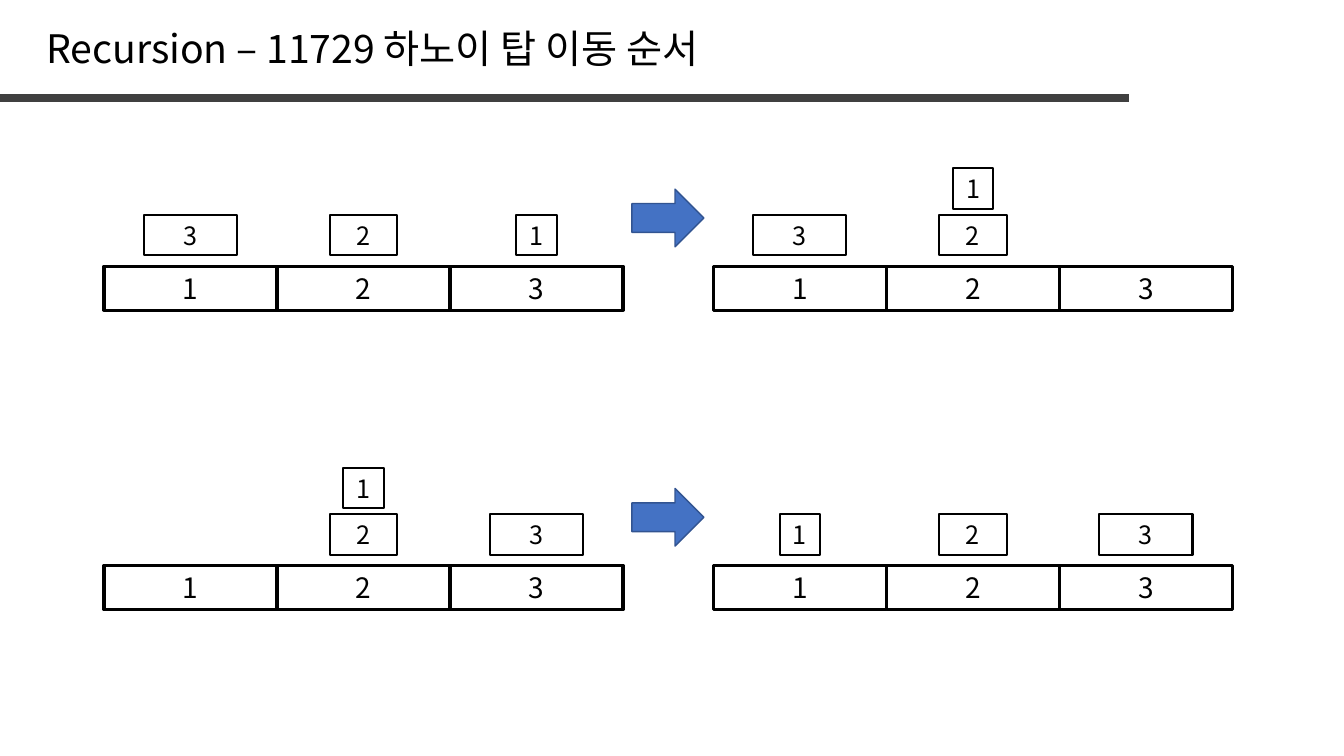
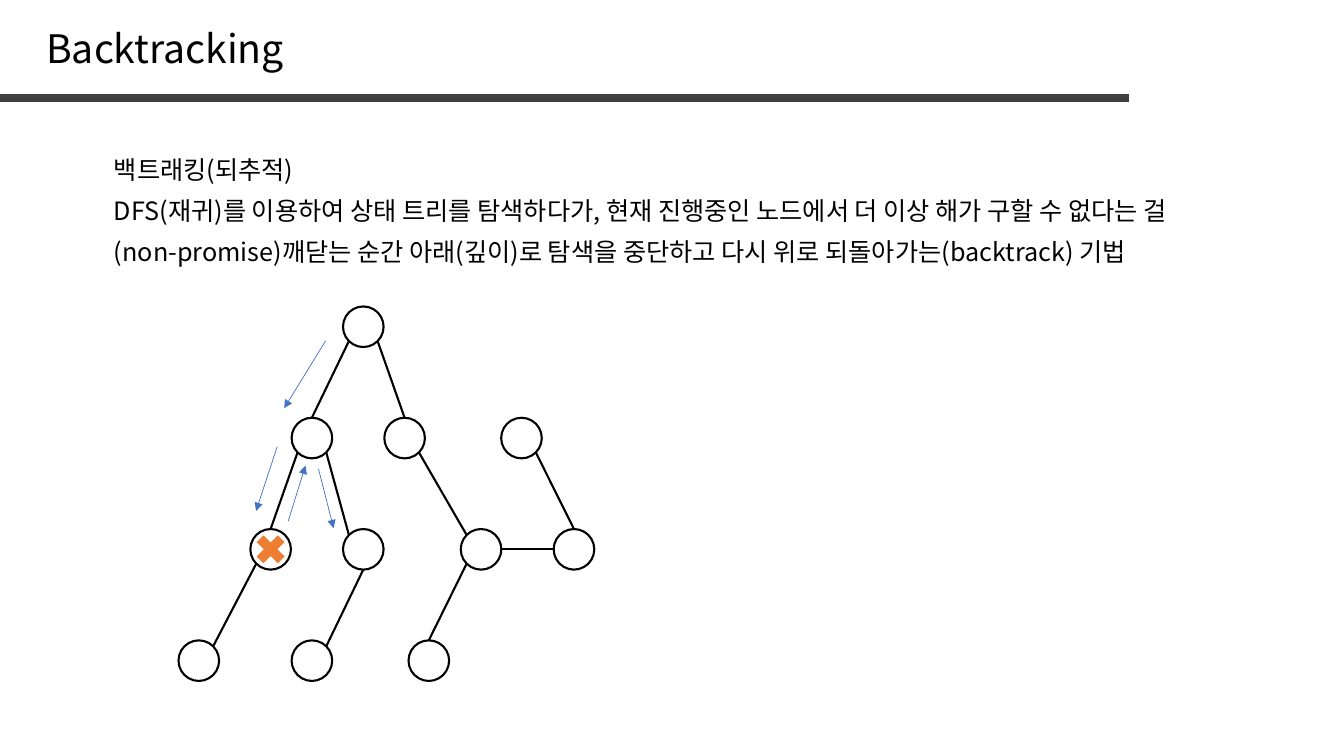
"""Build two algorithm slides: moving the Hanoi tower, and backtracking in a tree."""
import pptx
import pptx.util
import pptx.dml.color
import pptx.enum.shapes
import pptx.enum.text
import pptx.oxml.ns
from lxml import etree

FONT = "Noto Sans CJK KR"
BLACK, GREY, BLUE, NAVY, ORANGE = "000000", "404040", "4472C4", "325491", "ED7D31"
Pt = pptx.util.Pt
KIND = pptx.enum.shapes.MSO_SHAPE
ALIGN = pptx.enum.text.PP_ALIGN
qn = pptx.oxml.ns.qn

HANOI = ("Recursion – 11729 하노이 탑 이동 순서", 493)
BACK = ("Backtracking", 188)

# Each tower lists the discs on its three pegs, bottom first.
LEFTS, BASES = (74.3, 509.6), (190.1, 403.9)
TOWERS = [
    [([3], [2], [1]), ([3], [2, 1], [])],
    [([], [2, 1], [3]), ([1], [2], [3])],
]
DISCS = {1: 29, 2: 48.3, 3: 66.5}
CELL, CELL_H, DISC_H, STEP = 123.6, 31.5, 29, 33.2

LINES = [
    ("백트래킹(되추적)", 672),
    ("DFS(재귀)를 이용하여 상태 트리를 탐색하다가, 현재 진행중인 노드에서 더 이상 해가 구할 수 없다는 걸", 807),
    ("(non-promise)깨닫는 순간 아래(깊이)로 탐색을 중단하고 다시 위로 되돌아가는(backtrack) 기법", 807),
]

NODES = {
    "A": (259.5, 0),
    "B": (222.8, 1), "C": (289, 1), "H": (372.5, 1),
    "D": (193.3, 2), "E": (259.5, 2), "F": (343.6, 2), "G": (410, 2),
    "I": (142, 3), "J": (222.8, 3), "K": (306.3, 3),
}
EDGES = [
    ("A", "SW", "B", "N"), ("A", "SE", "C", "N"), ("B", "SW", "D", "N"),
    ("B", "SE", "E", "NW"), ("C", "SE", "F", "NW"), ("F", "E", "G", "W"),
    ("H", "SE", "G", "N"), ("E", "S", "J", "NE"), ("F", "SW", "K", "N"),
    ("D", "SW", "I", "NE"),
]
MOVES = [
    (232.6, 243.4, 203, 291.6), (198, 319, 182.9, 365),
    (205.9, 372.2, 218.2, 332.6), (227.5, 334.8, 238.3, 377.3),
]
NODE, TOP, LEVEL = 29, 233.4, 79.5


def color(code):
    return pptx.dml.color.RGBColor.from_string(code)


def write(shape, text, size, align):
    frame = shape.text_frame
    frame.text = text
    frame.vertical_anchor = pptx.enum.text.MSO_ANCHOR.MIDDLE
    para = frame.paragraphs[0]
    para.alignment = align
    para.font.name, para.font.size = FONT, Pt(size)
    para.font.color.rgb = color(BLACK)
    props = para._p.find(".//" + qn("a:defRPr"))
    etree.SubElement(props, qn("a:ea"), typeface=FONT)
    return frame


def label(slide, text, left, top, width, height, size, wrap=True):
    box = slide.shapes.add_textbox(Pt(left), Pt(top), Pt(width), Pt(height))
    write(box, text, size, ALIGN.LEFT).word_wrap = wrap


def draw(slide, kind, left, top, width, height, fill=None, line=None, weight=1.5):
    shape = slide.shapes.add_shape(kind, Pt(left), Pt(top), Pt(width), Pt(height))
    shape.shadow.inherit = False
    if fill:
        shape.fill.solid()
        shape.fill.fore_color.rgb = color(fill)
    else:
        shape.fill.background()
    if line:
        shape.line.color.rgb = color(line)
        shape.line.width = Pt(weight)
    else:
        shape.line.fill.background()
    return shape


def block(slide, mid, top, width, height, text, size, weight):
    shape = draw(slide, KIND.RECTANGLE, mid - width / 2, top, width, height,
                 line=BLACK, weight=weight)
    frame = write(shape, str(text), size, ALIGN.CENTER)
    frame.margin_top = frame.margin_bottom = 0


def link(slide, ends, code, weight, arrow=False):
    straight = pptx.enum.shapes.MSO_CONNECTOR.STRAIGHT
    line = slide.shapes.add_connector(straight, *(Pt(end) for end in ends))
    line.line.color.rgb = color(code)
    line.line.width = Pt(weight)
    if arrow:
        etree.SubElement(line.line._get_or_add_ln(), qn("a:tailEnd"), type="triangle")
    etree.SubElement(line._element.spPr, qn("a:effectLst"))


def start(deck, title, width):
    slide = deck.slides.add_slide(deck.slide_layouts[6])
    link(slide, (0, 70, 806.4, 70), GREY, 6)
    label(slide, title, 26, 13.7, width, 41, 28, wrap=False)
    return slide


def tower(slide, left, base, pegs):
    for col, discs in enumerate(pegs):
        mid = left + CELL * (col + 0.5)
        block(slide, mid, base, CELL, CELL_H, col + 1, 20, 2.25)
        for rank, disc in enumerate(discs):
            top = base - 36.7 - STEP * rank
            block(slide, mid, top, DISCS[disc], DISC_H, disc, 18, 1.5)


def center(name):
    x, level = NODES[name]
    return x, TOP + LEVEL * level


def port(name, side):
    x, y = center(name)
    reach = NODE / 2 / len(side) ** 0.5
    return (x + reach * (("E" in side) - ("W" in side)),
            y + reach * (("S" in side) - ("N" in side)))


def dot(slide, name, kind, **style):
    x, y = center(name)
    draw(slide, kind, x - NODE / 2, y - NODE / 2, NODE, NODE, **style)


deck = pptx.Presentation()
deck.slide_width, deck.slide_height = Pt(960), Pt(540)

slide = start(deck, *HANOI)
for base, pair in zip(BASES, TOWERS):
    for left, pegs in zip(LEFTS, pair):
        tower(slide, left, base, pegs)
    draw(slide, KIND.RIGHT_ARROW, 451.4, base - 55, 51.4, 41.2, BLUE, NAVY, 1)

slide = start(deck, *BACK)
for row, (text, width) in enumerate(LINES):
    label(slide, text, 74.3, 106.7 + 29.2 * row, width, 29, 18)
for name in NODES:
    dot(slide, name, KIND.OVAL, line=BLACK)
for near, side, far, other in EDGES:
    link(slide, port(near, side) + port(far, other), BLACK, 1.5)
for move in MOVES:
    link(slide, move, BLUE, 0.5, arrow=True)
dot(slide, "D", KIND.MATH_MULTIPLY, fill=ORANGE)

deck.save("out.pptx")
